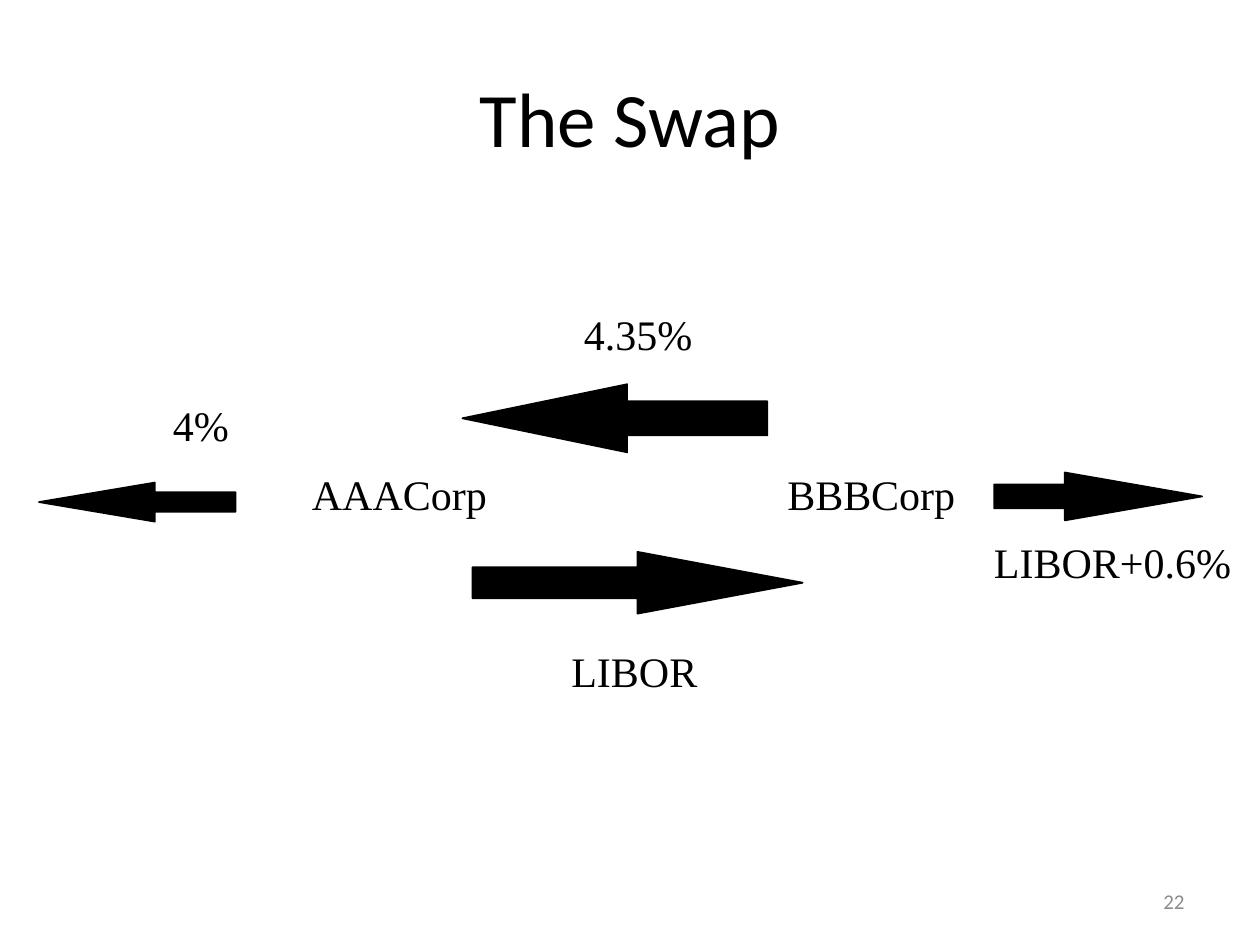
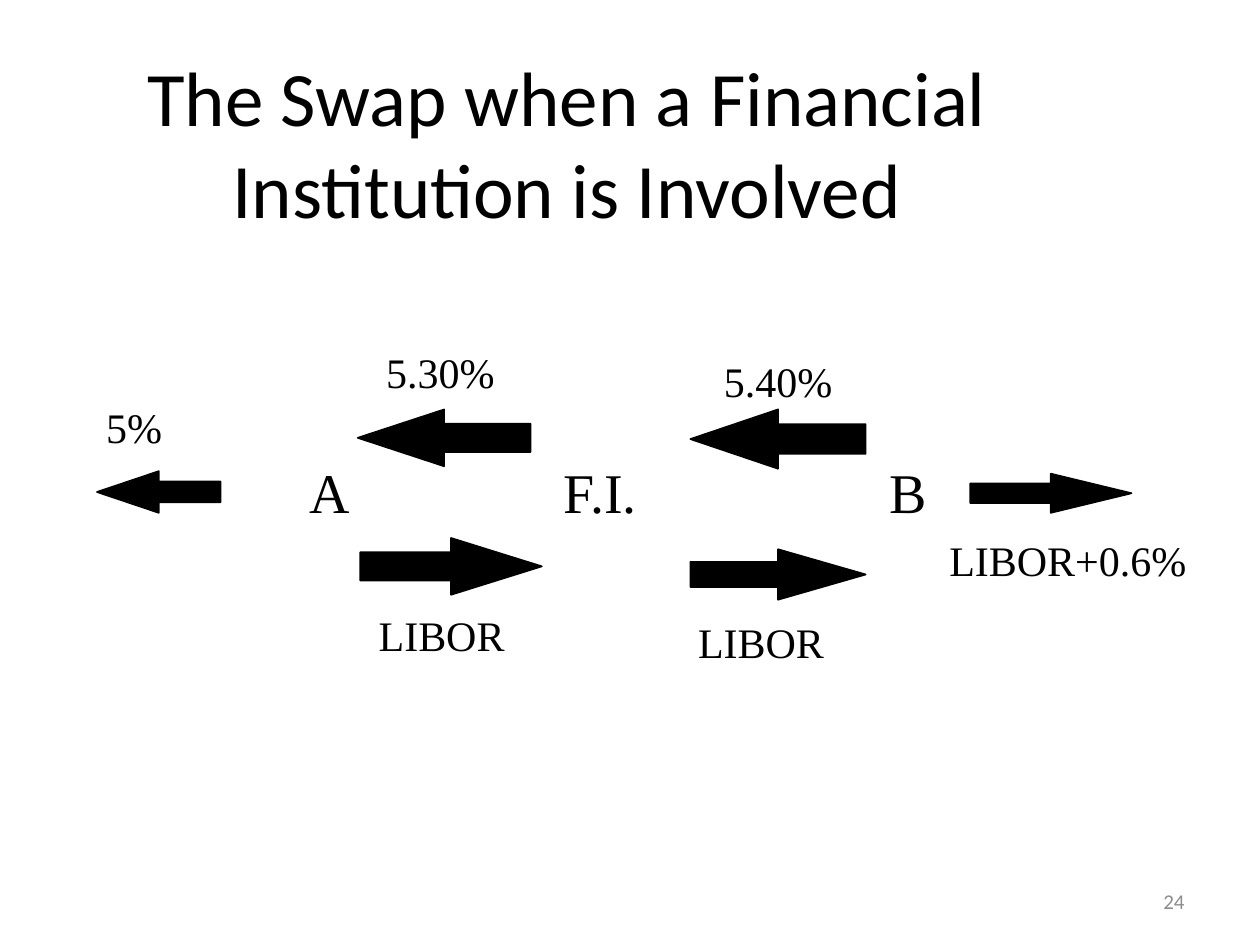
"""Builds two slides that show the payment flows of an interest rate swap."""
from dataclasses import dataclass

from pptx import Presentation
from pptx.dml.color import RGBColor
from pptx.enum.shapes import MSO_SHAPE
from pptx.enum.text import MSO_ANCHOR, MSO_AUTO_SIZE, PP_ALIGN
from pptx.util import Inches, Pt


@dataclass(frozen=True)
class Theme:
    ink: RGBColor = RGBColor(0x00, 0x00, 0x00)
    muted: RGBColor = RGBColor(0x8C, 0x8C, 0x8C)
    heading_font: str = "Calibri"
    diagram_font: str = "Times New Roman"
    title_size: int = 44
    party_size: int = 32
    label_size: int = 24
    number_size: int = 12
    line_width: int = 1


THEME = Theme()
SLIDE_WIDTH, SLIDE_HEIGHT = 10, 7.5
MARGIN = 0.5
TITLE_HEIGHT = 1.25
NUMBER_AREA = (7.17, 6.95, 2.33, 0.4)
LABEL_HEIGHT = 0.51
PARTY_HEIGHT = 0.64
HALF = 0.5

# parties and rates: text, left, top, width; arrows: direction, left, top, width, height, head share
SLIDES = [
    {
        "title": "The Swap",
        "title_top": 0.3,
        "title_width": 9,
        "number": "22",
        "party_size": THEME.label_size,
        "party_row": 3.67,
        "party_height": LABEL_HEIGHT,
        "parties": [("AAACorp", 2.27, 1.8), ("BBBCorp", 5.94, 1.95)],
        "rates": [
            ("4%", 1.27, 3.12, 0.65),
            ("4.35%", 4.53, 2.4, 1.07),
            ("LIBOR", 4.3, 5.07, 1.47),
            ("LIBOR+0.6%", 7.66, 4.21, 2.34),
        ],
        "arrows": [
            ("left", 0.31, 3.83, 1.56, 0.31, 0.59),
            ("left", 3.67, 3.05, 2.42, 0.54, 0.54),
            ("right", 3.75, 4.38, 2.62, 0.49, HALF),
            ("right", 7.89, 3.75, 1.65, 0.38, 0.66),
        ],
    },
    {
        "title": "The Swap when a Financial Institution is Involved",
        "title_top": 0.5,
        "title_width": 8,
        "number": "24",
        "party_size": THEME.party_size,
        "party_row": 3.58,
        "party_height": PARTY_HEIGHT,
        "parties": [("A", 1.98, 1.27), ("F.I.", 4.33, 0.87), ("B", 6.42, 1.58)],
        "rates": [
            ("5%", 0.74, 3.14, 0.65),
            ("5.30%", 2.96, 2.7, 1.07),
            ("5.40%", 5.64, 2.77, 1.07),
            ("LIBOR", 2.8, 4.79, 1.41),
            ("LIBOR", 5.44, 4.84, 1.2),
            ("LIBOR+0.6%", 7.27, 4.19, 2.41),
        ],
        "arrows": [
            ("left", 0.77, 3.74, 0.98, 0.33, HALF),
            ("left", 2.84, 3.25, 1.37, 0.45, HALF),
            ("left", 5.48, 3.25, 1.39, 0.47, HALF),
            ("right", 2.86, 4.27, 1.44, 0.45, HALF),
            ("right", 5.48, 4.36, 1.39, 0.4, HALF),
            ("right", 7.7, 3.76, 1.28, 0.31, HALF),
        ],
    },
]
ARROW_SHAPES = {"left": MSO_SHAPE.LEFT_ARROW, "right": MSO_SHAPE.RIGHT_ARROW}


def add_text(page, text, area, size, font, color=THEME.ink, align=PP_ALIGN.CENTER):
    box = page.shapes.add_textbox(*map(Inches, area))
    frame = box.text_frame
    frame.word_wrap = True
    frame.vertical_anchor = MSO_ANCHOR.MIDDLE
    frame.text = text
    para = frame.paragraphs[0]
    para.alignment = align
    for span in para.runs:
        span.font.name = font
        span.font.size = Pt(size)
        span.font.color.rgb = color
    return box


def add_label(page, text, area, size):
    frame = add_text(page, text, area, size, THEME.diagram_font).text_frame
    frame.vertical_anchor = MSO_ANCHOR.TOP
    frame.word_wrap = False
    frame.auto_size = MSO_AUTO_SIZE.SHAPE_TO_FIT_TEXT


def add_arrow(page, direction, left, top, width, height, head_share):
    area = map(Inches, (left, top, width, height))
    arrow = page.shapes.add_shape(ARROW_SHAPES[direction], *area)
    arrow.shadow.inherit = False
    arrow.adjustments[0] = HALF
    arrow.adjustments[1] = head_share * width / height
    arrow.fill.solid()
    arrow.fill.fore_color.rgb = THEME.ink
    arrow.line.color.rgb = THEME.ink
    arrow.line.width = Pt(THEME.line_width)


def build_page(deck, content):
    page = deck.slides.add_slide(deck.slide_layouts[6])
    title_area = (MARGIN, content["title_top"], content["title_width"], TITLE_HEIGHT)
    add_text(page, content["title"], title_area, THEME.title_size, THEME.heading_font)
    for text, left, width in content["parties"]:
        area = (left, content["party_row"], width, content["party_height"])
        add_label(page, text, area, content["party_size"])
    for arrow in content["arrows"]:
        add_arrow(page, *arrow)
    for text, left, top, width in content["rates"]:
        add_label(page, text, (left, top, width, LABEL_HEIGHT), THEME.label_size)
    add_text(page, content["number"], NUMBER_AREA, THEME.number_size,
             THEME.heading_font, THEME.muted, PP_ALIGN.RIGHT)


def main():
    deck = Presentation()
    deck.slide_width, deck.slide_height = Inches(SLIDE_WIDTH), Inches(SLIDE_HEIGHT)
    for content in SLIDES:
        build_page(deck, content)
    deck.save("out.pptx")


if __name__ == "__main__":
    main()
